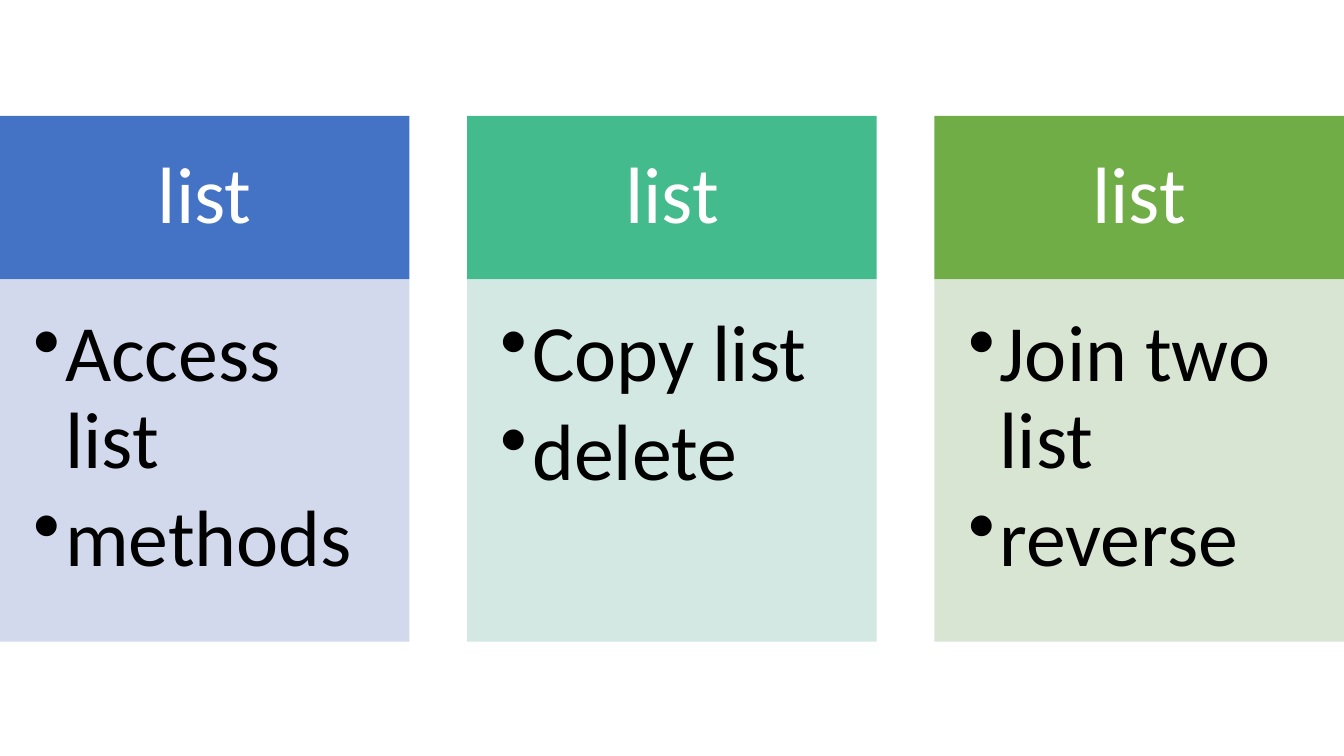
"""Build a slide of three list columns, each with a heading above its bullets."""
from lxml.etree import SubElement
from pptx import Presentation
from pptx.dml.color import RGBColor
from pptx.enum.shapes import MSO_SHAPE
from pptx.enum.text import MSO_ANCHOR, PP_ALIGN
from pptx.oxml.ns import qn
from pptx.util import Pt

COLUMNS = [
    ("list", ["Access list", "methods"], "4472C4", "CFD5EA"),
    ("list", ["Copy list", "delete"], "43BB8D", "CFE6E0"),
    ("list", ["Join two list", "reverse"], "70AD47", "D5E3CF"),
]
SLIDE_WIDTH, SLIDE_HEIGHT = 960, 540
COLUMN_WIDTH = 292.5
COLUMN_STEP = (SLIDE_WIDTH - COLUMN_WIDTH) / (len(COLUMNS) - 1)
HEADING_TOP, HEADING_HEIGHT, BODY_HEIGHT = 82.8, 116.8, 258.8
HEADING_INSETS = (32, 18, 32, 18)
BODY_INSETS = (24, 24, 32, 36)
FONT_SIZE, BULLET_INDENT = 57, 22.5


def color(hex_value):
    return RGBColor.from_string(hex_value)


def add_panel(left, top, height, fill, insets, anchor):
    panel = slide.shapes.add_shape(
        MSO_SHAPE.RECTANGLE, Pt(left), Pt(top), Pt(COLUMN_WIDTH), Pt(height))
    panel.shadow.inherit = False
    panel.fill.solid()
    panel.fill.fore_color.rgb = color(fill)
    panel.line.fill.background()
    frame = panel.text_frame
    frame.word_wrap = True
    frame.vertical_anchor = anchor
    (frame.margin_left, frame.margin_top,
     frame.margin_right, frame.margin_bottom) = map(Pt, insets)
    return panel


def make_translucent(panel, percent):
    rgb = panel.fill._xPr.find(qn("a:solidFill"))[0]
    SubElement(rgb, qn("a:alpha"), val=str(percent * 1000))


def add_bullet(paragraph):
    properties = paragraph._p.get_or_add_pPr()
    properties.set("marL", str(Pt(BULLET_INDENT)))
    properties.set("indent", str(-Pt(BULLET_INDENT)))
    SubElement(properties, qn("a:buChar"), char="•")


def write(frame, lines, text_color, alignment, space_after, bulleted=False):
    for number, line in enumerate(lines):
        paragraph = frame.add_paragraph() if number else frame.paragraphs[0]
        paragraph.text = line
        paragraph.alignment = alignment
        paragraph.line_spacing = 0.9
        paragraph.space_after = Pt(FONT_SIZE * space_after)
        if bulleted:
            paragraph.level = 1
            add_bullet(paragraph)
        paragraph.font.name = "Calibri"
        paragraph.font.size = Pt(FONT_SIZE)
        paragraph.font.color.rgb = color(text_color)


presentation = Presentation()
presentation.slide_width, presentation.slide_height = Pt(SLIDE_WIDTH), Pt(SLIDE_HEIGHT)
slide = presentation.slides.add_slide(presentation.slide_layouts[6])

for index, (title, items, heading_fill, body_fill) in enumerate(COLUMNS):
    left = index * COLUMN_STEP
    heading = add_panel(left, HEADING_TOP, HEADING_HEIGHT, heading_fill,
                        HEADING_INSETS, MSO_ANCHOR.MIDDLE)
    write(heading.text_frame, [title], "FFFFFF", PP_ALIGN.CENTER, 0.35)
    body = add_panel(left, HEADING_TOP + HEADING_HEIGHT, BODY_HEIGHT, body_fill,
                     BODY_INSETS, MSO_ANCHOR.TOP)
    make_translucent(body, 90)
    write(body.text_frame, items, "000000", PP_ALIGN.LEFT, 0.15, bulleted=True)

presentation.save("out.pptx")
